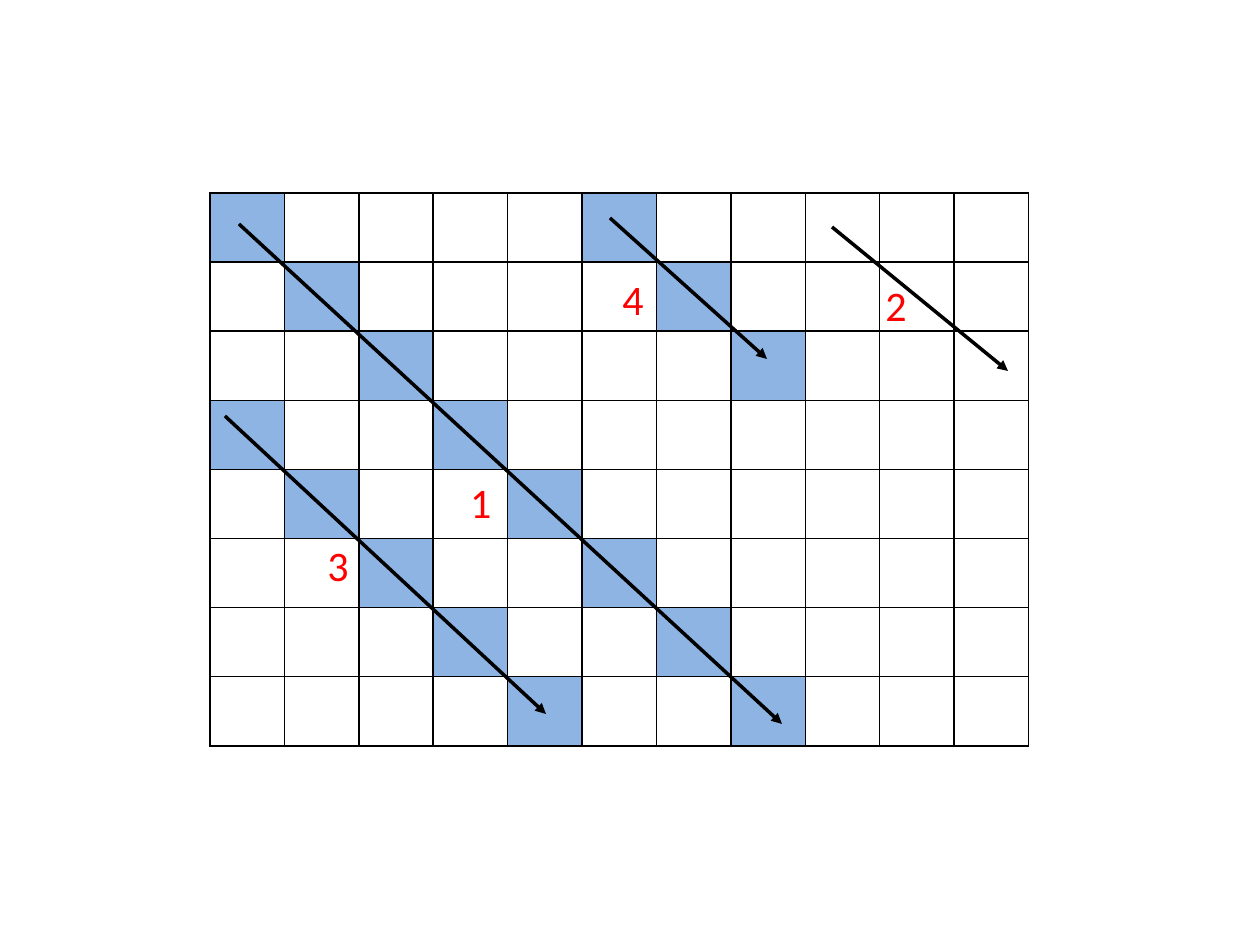
from lxml.etree import SubElement
from pptx import Presentation
from pptx.dml.color import RGBColor
from pptx.enum.shapes import MSO_CONNECTOR as CONN
from pptx.enum.text import MSO_AUTO_SIZE as AUTO
from pptx.oxml.ns import qn
from pptx.util import Emu, Pt

SCALE = 914400 / 126
ROWS, COLS = 8, 11


def px(n):
    return Emu(round(n * SCALE))


def color(hex_value):
    return RGBColor.from_string(hex_value)


prs = Presentation()
prs.slide_width, prs.slide_height = px(1260), px(945)
s = prs.slides.add_slide(prs.slide_layouts[6])

diagonals = [(0, 0, 8), (0, 5, 3), (3, 0, 5)]
filled = {(row + i, col + i) for row, col, n in diagonals for i in range(n)}

table = s.shapes.add_table(ROWS, COLS, px(210), px(193), px(819), px(553)).table
table.first_row = False
table.horz_banding = False
for row in range(ROWS):
    for col in range(COLS):
        cell = table.cell(row, col)
        tcPr = cell._tc.get_or_add_tcPr()
        for side in ("a:lnL", "a:lnR", "a:lnT", "a:lnB"):
            ln = SubElement(tcPr, qn(side), w=str(Pt(1)))
            solid = SubElement(ln, qn("a:solidFill"))
            SubElement(solid, qn("a:srgbClr"), val="000000")
        if (row, col) in filled:
            cell.fill.solid()
            cell.fill.fore_color.rgb = color("8EB4E3")
        else:
            cell.fill.background()

arrows = [
    (239, 224, 782, 724),
    (832, 227, 1008, 371),
    (225, 416, 546, 714),
    (610, 218, 767, 359),
]
for x1, y1, x2, y2 in arrows:
    arrow = s.shapes.add_connector(CONN.STRAIGHT, px(x1), px(y1), px(x2), px(y2))
    arrow.line.color.rgb = color("000000")
    arrow.line.width = Pt(2)
    SubElement(arrow.line._get_or_add_ln(), qn("a:tailEnd"), type="triangle")
    SubElement(arrow._element.spPr, qn("a:effectLst"))

labels = [
    ("1", 470, 470, 6, True),
    ("2", 873, 273, 47, False),
    ("3", 315, 533, 47, False),
    ("4", 610, 267, 63, True),
]
for text, x, y, w, wrap in labels:
    tf = s.shapes.add_textbox(px(x), px(y), px(w), px(63)).text_frame
    tf.word_wrap = wrap
    tf.auto_size = AUTO.SHAPE_TO_FIT_TEXT
    p = tf.paragraphs[0]
    p.text = text
    font = p.runs[0].font
    font.name = "Calibri"
    font.size = Pt(24)
    font.color.rgb = color("FF0000")

prs.save("out.pptx")
